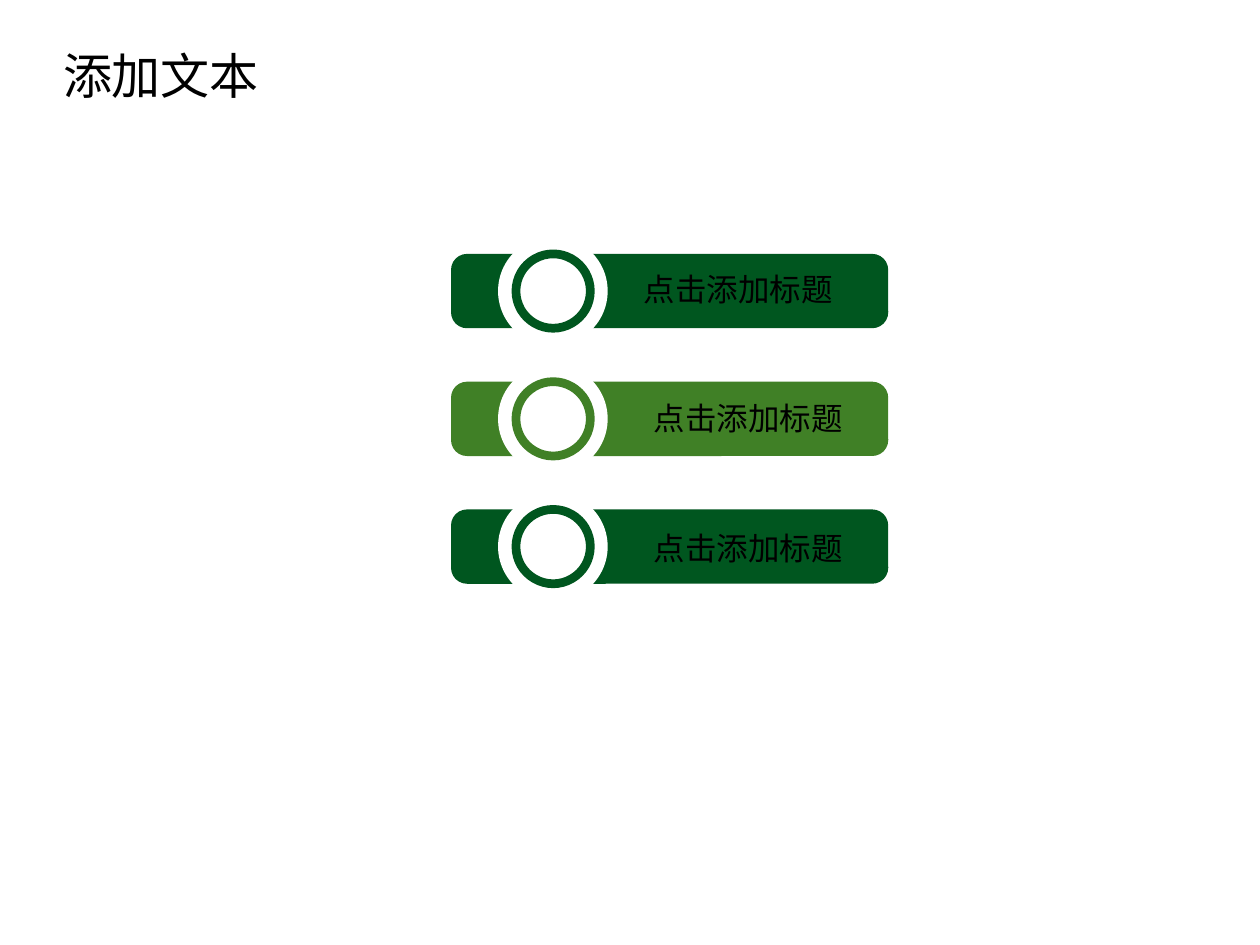
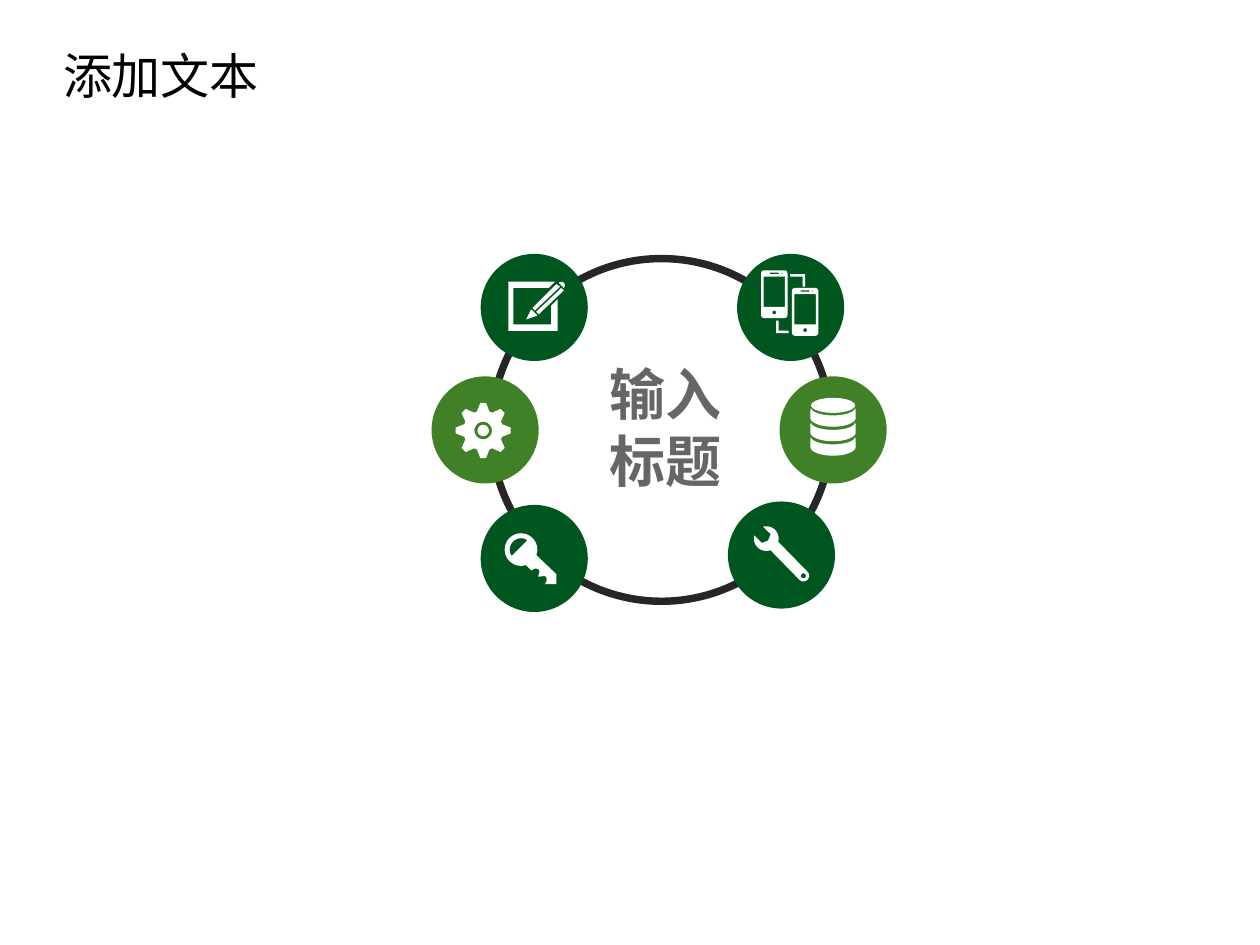
from dataclasses import dataclass
from math import cos, radians, sin

from pptx import Presentation
from pptx.dml.color import RGBColor
from pptx.enum.shapes import MSO_SHAPE
from pptx.enum.text import MSO_ANCHOR, MSO_AUTO_SIZE, PP_ALIGN
from pptx.oxml.ns import qn
from pptx.util import Inches, Pt

OVAL = MSO_SHAPE.OVAL
ROUNDED = MSO_SHAPE.ROUNDED_RECTANGLE
MIDDLE = MSO_ANCHOR.MIDDLE
FIXED_SIZE = MSO_AUTO_SIZE.NONE
LEFT = PP_ALIGN.LEFT

DARK_GREEN = RGBColor(0x00, 0x56, 0x1F)
LIGHT_GREEN = RGBColor(0x40, 0x80, 0x26)
WHITE = RGBColor(0xFF, 0xFF, 0xFF)
BLACK = RGBColor(0x00, 0x00, 0x00)
CHARCOAL = RGBColor(0x26, 0x26, 0x26)
GREY = RGBColor(0x66, 0x66, 0x66)
FONT = "Noto Sans CJK SC"

COLUMNS, ROWS = 100, 75
CELL = Inches(0.1)
ICON_STEPS = 10  # icon units in one grid cell
BADGE_SIZE = 8.5
TITLE_ONLY = 5

Point = tuple[float, float]
Contour = list[Point]
Icon = list[list[Contour]]  # shapes, each an outline followed by its holes


@dataclass(frozen=True)
class Area:
    """A rectangle in grid columns and rows."""
    left: float
    top: float
    width: float
    height: float

    def lengths(self) -> list[int]:
        return [round(value * CELL)
                for value in (self.left, self.top, self.width, self.height)]


@dataclass(frozen=True)
class Style:
    size: int
    color: RGBColor
    bold: bool = False
    spacing: int | None = None


@dataclass(frozen=True)
class Banner:
    color: RGBColor
    label_left: float
    label_top: float


@dataclass(frozen=True)
class Badge:
    left: float
    top: float
    color: RGBColor
    icon: Icon


TITLE_AREA = Area(4, 3.1, 18, 5.7)
TITLE_STYLE = Style(28, BLACK)
LABEL_STYLE = Style(18, BLACK)
CENTRE_STYLE = Style(32, GREY, bold=True, spacing=38)


def arc(centre: Point, radius_x: float, start: float, end: float,
        radius_y: float | None = None, steps: int = 20) -> Contour:
    """Points along an ellipse, with angles clockwise from the right."""
    radius_y = radius_x if radius_y is None else radius_y
    angles = [radians(start + (end - start) * i / steps)
              for i in range(steps + 1)]
    return [(centre[0] + radius_x * cos(a), centre[1] + radius_y * sin(a))
            for a in angles]


def circle(centre: Point, radius: float) -> Contour:
    return arc(centre, radius, 0, 360)


def rectangle(left: float, top: float, right: float, bottom: float) -> Contour:
    return [(left, top), (right, top), (right, bottom), (left, bottom)]


def pencil_icon() -> Icon:
    tip = [(2.5, 6.5), (-2.5, 1.5), (-6.5, 9.5)]
    upper_shaft = [(17.5, -18.5), (-1.5, 0.5), (0.5, 2.5), (20.5, -16.5)]
    lower_shaft = [(1.5, 3.5), (3.5, 5.5), (23.5, -13.5), (21.5, -15.5)]
    eraser = arc((21.5, -17.5), 2.8, 225, 405)
    paper = [(13.5, 13.5), (-16.5, 13.5), (-16.5, -15.5), (11.5, -15.5),
             (16.5, -20.5), (-20.5, -20.5), (-20.5, 18.5), (18.5, 18.5),
             (18.5, -6.5), (13.5, -1.5)]
    return [[part] for part in (tip, upper_shaft, lower_shaft, eraser, paper)]


def gear_icon() -> Icon:
    hub, teeth = (-1.5, 0.5), 8
    tooth = [(15.8, -18.4), (22, -6), (22, 6), (15.8, 18.4)]
    rim = [(hub[0] + radius * cos(radians(turn * 360 / teeth + offset)),
            hub[1] + radius * sin(radians(turn * 360 / teeth + offset)))
           for turn in range(teeth) for radius, offset in tooth]
    return [[rim, circle(hub, 7)], [circle(hub, 4.5)]]


def database_icon() -> Icon:
    def layer(top: float) -> Contour:
        return (arc((0, top), 17.5, 180, 0, 6) + [(18, top + 2)]
                + arc((0, top + 8), 18, 0, 180, 7) + [(-18, top + 2)])

    lid = arc((0, -19.5), 17.5, 0, 360, 6)
    return [[layer(-17.5 + 11.5 * i)] for i in range(3)] + [[lid]]


def key_icon() -> Icon:
    bow = (-10.5, -7)
    blade = [(17.5, 12.5), (17.5, 20.5), (8.5, 20.5), (10, 17.5),
             (9.5, 14.5), (7.5, 14), (4.5, 14.5), (3.2, 14.5), (3.5, 13),
             (4.2, 10.5), (3.5, 8.5), (1, 8), (-2.5, 9.5)]
    return [[arc(bow, 13, 72, 380) + blade, arc(bow, 9, 145, 304)]]


def wrench_icon() -> Icon:
    head, tail = (-12, -13), (17.5, 16.5)
    jaw = [(-8.5, -16.5), (-10.5, -11.5), (-15.5, -9.5)]
    outline = (arc(head, 9.8, 15, -105) + jaw + arc(head, 9.8, 195, 70)
               + arc(tail, 4.5, 135, -45))
    return [[outline, circle(tail, 2)]]


def phones_icon() -> Icon:
    def phone(left: float, top: float) -> list[Contour]:
        corners = [(18.5, 2.5, -90), (18.5, 35.5, 0),
                   (2.5, 35.5, 90), (2.5, 2.5, 180)]
        case = [point for x, y, start in corners
                for point in arc((x, y), 2.5, start, start + 90, steps=5)]
        parts = [case, rectangle(2, 5, 19, 29), rectangle(7, 2, 14, 3),
                 circle((16.5, 2.5), 0.5), circle((10.5, 33.5), 1.5)]
        return [[(left + x, top + y) for x, y in part] for part in parts]

    upper_link = [(9.5, -16.5), (11.5, -16.5), (11.5, -26.5),
                  (-0.5, -26.5), (-0.5, -24.5), (9.5, -24.5)]
    lower_link = [(-9.5, 10.5), (-11.5, 10.5), (-11.5, 20.5),
                  (-1.5, 20.5), (-1.5, 18.5), (-9.5, 18.5)]
    return [phone(-23.5, -29.5), phone(1, -15.5), [upper_link], [lower_link]]


BANNERS = [
    Banner(DARK_GREEN, 50.1, 20.9),
    Banner(LIGHT_GREEN, 50.9, 31.2),
    Banner(DARK_GREEN, 50.9, 41.45),
]
BADGES = [
    Badge(38.15, 20.15, DARK_GREEN, pencil_icon()),
    Badge(34.25, 29.87, LIGHT_GREEN, gear_icon()),
    Badge(61.87, 29.87, LIGHT_GREEN, database_icon()),
    Badge(38.15, 40.07, DARK_GREEN, key_icon()),
    Badge(57.77, 39.8, DARK_GREEN, wrench_icon()),
    Badge(58.5, 20.15, DARK_GREEN, phones_icon()),
]


def paint(shape, fill: RGBColor | None = None, line: RGBColor | None = None,
          weight: float = 0) -> None:
    shape.shadow.inherit = False
    if fill is None:
        shape.fill.background()
    else:
        shape.fill.solid()
        shape.fill.fore_color.rgb = fill
    if line is None:
        shape.line.fill.background()
    else:
        shape.line.color.rgb = line
        shape.line.width = Pt(weight)


def write(box, lines: list[str], style: Style) -> None:
    frame = box.text_frame
    frame.auto_size = FIXED_SIZE
    frame.word_wrap = False
    frame.vertical_anchor = MIDDLE
    for index, text in enumerate(lines):
        para = frame.add_paragraph() if index else frame.paragraphs[0]
        para.alignment = LEFT
        if style.spacing:
            para.line_spacing = Pt(style.spacing)
        span = para.add_run()
        span.text = text
        span.font.size = Pt(style.size)
        span.font.bold = style.bold
        span.font.color.rgb = style.color
        span.font.name = FONT
        east_asian = span.font._element.makeelement(
            qn("a:ea"), {"typeface": FONT})
        span.font._element.find(qn("a:latin")).addnext(east_asian)


def add_text(page, area: Area, lines: list[str], style: Style) -> None:
    write(page.shapes.add_textbox(*area.lengths()), lines, style)


def add_page(deck, title: str):
    page = deck.slides.add_slide(deck.slide_layouts[TITLE_ONLY])
    box = page.shapes.title
    box.left, box.top, box.width, box.height = TITLE_AREA.lengths()
    box.text_frame.margin_right = 0
    write(box, [title], TITLE_STYLE)
    return page


def draw_banner(page, banner: Banner, top: float) -> None:
    group = page.shapes.add_group_shape().shapes
    bar = group.add_shape(ROUNDED, *Area(35.8, top, 34.7, 5.9).lengths())
    bar.adjustments[0] = 0.215
    paint(bar, banner.color)
    gap = group.add_shape(OVAL, *Area(39.53, top - 1.4, 8.7, 8.7).lengths())
    paint(gap, WHITE)
    ring = group.add_shape(OVAL, *Area(40.95, top, 5.9, 5.9).lengths())
    paint(ring, line=banner.color, weight=5)


def draw_badge(page, badge: Badge) -> None:
    group = page.shapes.add_group_shape().shapes
    disc = Area(badge.left, badge.top, BADGE_SIZE, BADGE_SIZE)
    paint(group.add_shape(OVAL, *disc.lengths()), badge.color)

    def place(point: Point) -> Point:
        return tuple(round((corner + BADGE_SIZE / 2 + value / ICON_STEPS) * CELL)
                     for corner, value in zip((badge.left, badge.top), point))

    for contours in badge.icon:
        outline, *holes = [[place(p) for p in contour] for contour in contours]
        builder = group.build_freeform(*outline[0])
        builder.add_line_segments(outline[1:], close=True)
        for hole in holes:
            builder.move_to(*hole[0])
            builder.add_line_segments(hole[1:], close=True)
        paint(builder.convert_to_shape(), WHITE)


def build_banner_page(deck) -> None:
    page = add_page(deck, "添加文本")
    for index, banner in enumerate(BANNERS):
        draw_banner(page, banner, 20.15 + 10.14 * index)
    for banner in BANNERS:
        area = Area(banner.label_left, banner.label_top, 17, 4)
        add_text(page, area, ["点击添加标题"], LABEL_STYLE)


def build_wheel_page(deck) -> None:
    page = add_page(deck, "添加文本")
    wheel = page.shapes.add_shape(OVAL, *Area(39, 20.52, 27, 27.2).lengths())
    paint(wheel, line=CHARCOAL, weight=4.25)
    for badge in BADGES:
        draw_badge(page, badge)
    add_text(page, Area(47.4, 28.05, 10.9, 11.7), ["输入", "标题"], CENTRE_STYLE)


def main() -> None:
    deck = Presentation()
    deck.slide_width = COLUMNS * CELL
    deck.slide_height = ROWS * CELL
    build_banner_page(deck)
    build_wheel_page(deck)
    deck.save("out.pptx")


if __name__ == "__main__":
    main()
